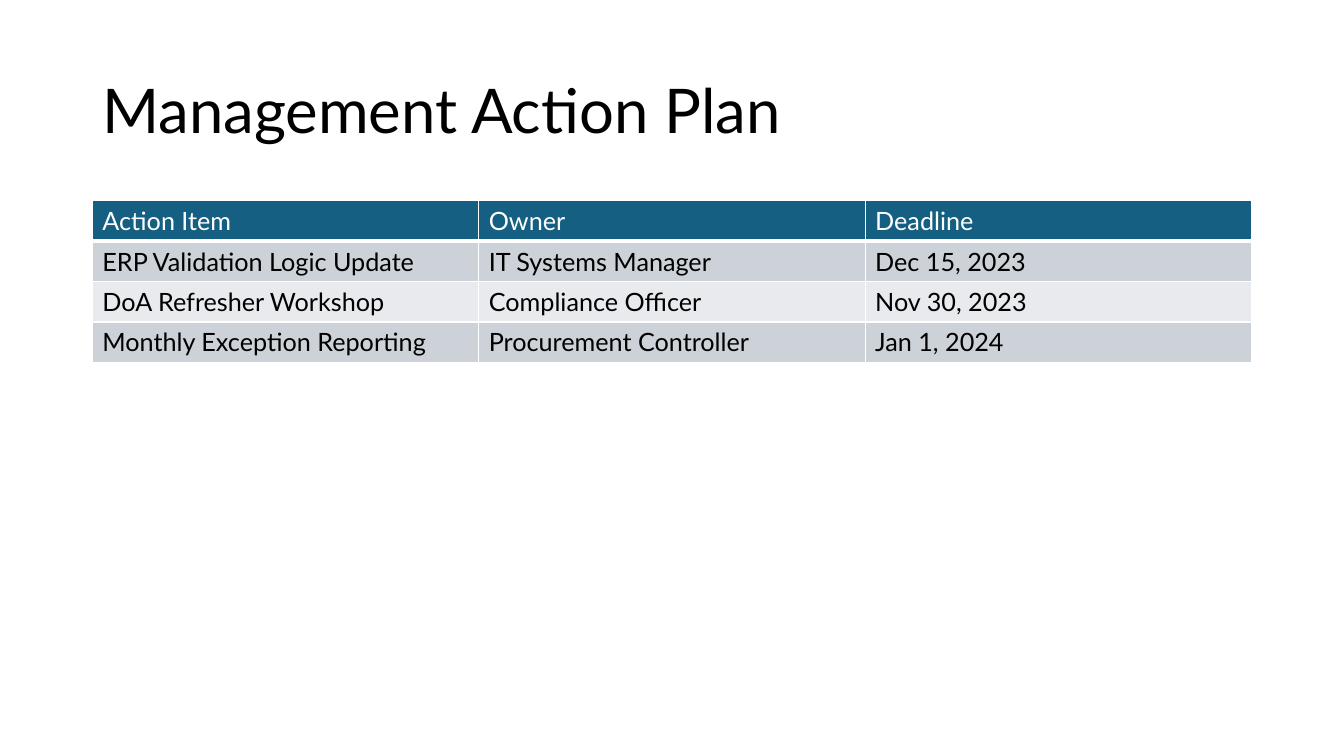
import pptx
import pptx.dml.color
import pptx.enum.text
import pptx.oxml
import pptx.oxml.ns
import pptx.util

Pt = pptx.util.Pt
RGBColor = pptx.dml.color.RGBColor

BLACK = RGBColor(0x00, 0x00, 0x00)
WHITE = RGBColor(0xFF, 0xFF, 0xFF)
TEAL = RGBColor(0x15, 0x60, 0x82)
GREY = RGBColor(0xCC, 0xD2, 0xD8)
PALE_GREY = RGBColor(0xE8, 0xEA, 0xED)

LEFT = 66
WIDTH = 828
ROW_HEIGHT = 28.8

ACTIONS = [
    ("Action Item", "Owner", "Deadline"),
    ("ERP Validation Logic Update", "IT Systems Manager", "Dec 15, 2023"),
    ("DoA Refresher Workshop", "Compliance Officer", "Nov 30, 2023"),
    ("Monthly Exception Reporting", "Procurement Controller", "Jan 1, 2024"),
]


def write(frame, text, size=18, color=BLACK, spacing=1.0):
    paragraph = frame.paragraphs[0]
    paragraph.line_spacing = spacing
    run = paragraph.add_run()
    run.text = text
    run.font.name = "Lato"
    run.font.size = Pt(size)
    run.font.bold = False
    run.font.color.rgb = color


def add_border(cell, side, width):
    cell._tc.get_or_add_tcPr().append(pptx.oxml.parse_xml(
        f'<a:ln{side} {pptx.oxml.ns.nsdecls("a")} w="{Pt(width)}">'
        f'<a:solidFill><a:srgbClr val="{WHITE}"/></a:solidFill></a:ln{side}>'
    ))


deck = pptx.Presentation()
deck.slide_width = Pt(960)
deck.slide_height = Pt(540)
slide = deck.slides.add_slide(deck.slide_layouts[6])

title = slide.shapes.add_textbox(Pt(LEFT), Pt(28.75), Pt(WIDTH), Pt(104.4)).text_frame
title.word_wrap = True
title.vertical_anchor = pptx.enum.text.MSO_ANCHOR.MIDDLE
write(title, "Management Action Plan", size=44, spacing=0.9)

plan = slide.shapes.add_table(
    len(ACTIONS), len(ACTIONS[0]),
    Pt(LEFT), Pt(143.5), Pt(WIDTH), Pt(ROW_HEIGHT * len(ACTIONS)),
).table

for row, action in enumerate(ACTIONS):
    plan.rows[row].height = Pt(ROW_HEIGHT)
    is_header = row == 0
    band = TEAL if is_header else GREY if row % 2 else PALE_GREY
    for column, text in enumerate(action):
        cell = plan.cell(row, column)
        for side in "LRTB":
            add_border(cell, side, 3 if is_header and side == "B" else 1)
        cell.fill.solid()
        cell.fill.fore_color.rgb = band
        write(cell.text_frame, text, color=WHITE if is_header else BLACK)

deck.save("out.pptx")
